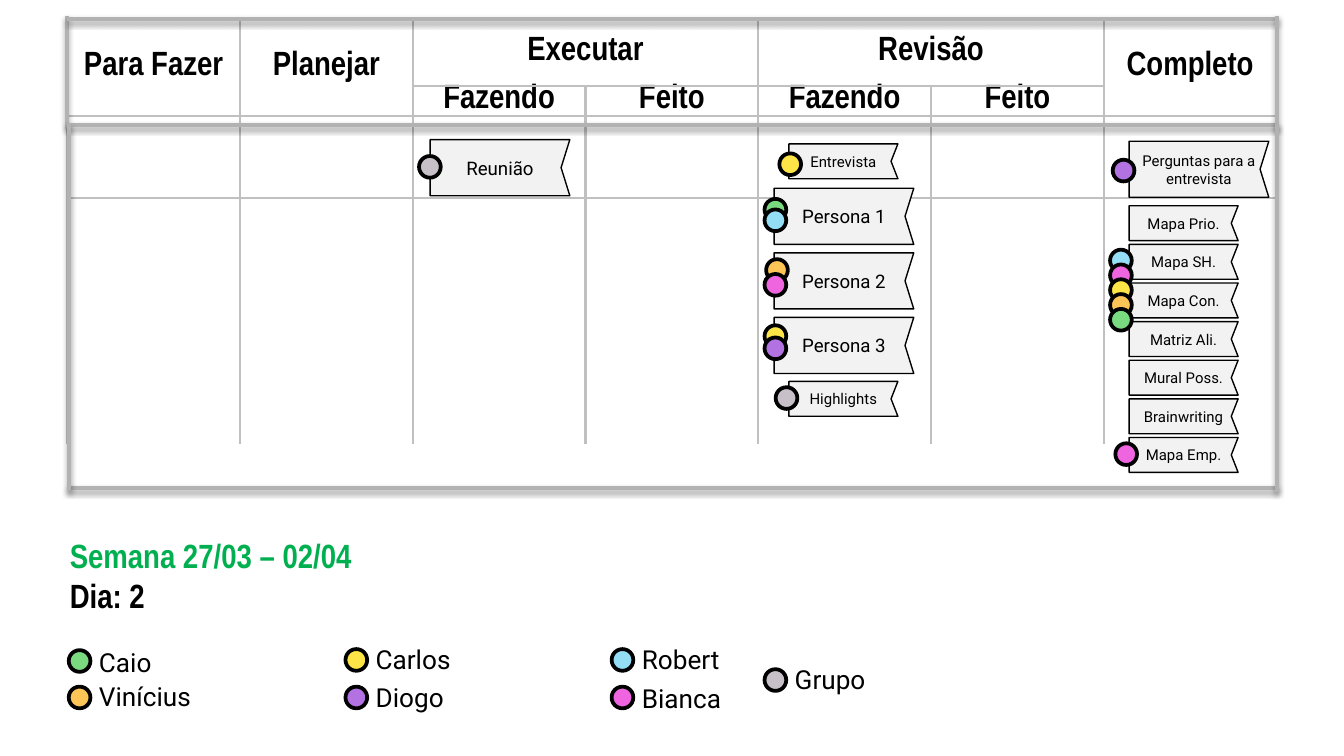
from lxml import etree
from pptx import Presentation
from pptx import util as u
from pptx.dml.color import RGBColor
from pptx.enum import shapes, text
from pptx.oxml import parse_xml
from pptx.oxml.ns import nsdecls, qn

Cm, Pt = u.Cm, u.Pt

COLORS = {
    "black": "000000", "white": "FFFFFF", "card": "F2F2F2",
    "grid": "C0C0C0", "frame": "B2B2B2", "title": "00B050",
    "Caio": "79DA80", "Vinícius": "FDC456", "Carlos": "FDE548",
    "Diogo": "B272E2", "Robert": "93DEF5", "Bianca": "EF65DF",
    "Grupo": "C7C0C8",
}
DOT = 0.41
SMALL, BIG = (2.06, 0.66), (2.64, 1.06)
NO_STYLE = "{2D5ABB26-0587-4C30-8999-92F81FD0307C}"

HEADERS = [
    (0, 0, 1, 0, "Para Fazer"), (0, 1, 1, 1, "Planejar"),
    (0, 2, 0, 3, "Executar"), (0, 4, 0, 5, "Revisão"),
    (0, 6, 1, 6, "Completo"),
    (1, 2, 1, 2, "Fazendo"), (1, 3, 1, 3, "Feito"),
    (1, 4, 1, 4, "Fazendo"), (1, 5, 1, 5, "Feito"),
]
FRAME = [
    (1.27, 0.3, 1.27, 2.44), (1.27, 0.36, 24.13, 0.36),
    (1.27, 2.36, 24.13, 2.36), (24.13, 0.3, 24.13, 2.44),
    (1.27, 9.22, 24.13, 9.22), (24.13, 2.36, 24.13, 9.3),
    (1.3, 2.34, 1.3, 9.27),
]
CARDS = [
    ("Reunião", 8.13, 2.64, BIG, 10),
    ("Entrevista", 14.91, 2.72, SMALL, 8),
    ("Highlights", 14.91, 7.21, SMALL, 8),
    ("Perguntas para a entrevista", 21.34, 2.67, BIG, 8),
]
DONE = ["Mapa Prio.", "Mapa SH.", "Mapa Con.", "Matriz Ali.",
        "Mural Poss.", "Brainwriting", "Mapa Emp."]
MAP_TEAM = ["Robert", "Bianca", "Carlos", "Vinícius", "Caio"]
DOTS = [
    ("Grupo", 7.92, 2.95), ("Carlos", 14.73, 2.9),
    ("Caio", 14.45, 3.76), ("Robert", 14.45, 3.96),
    ("Vinícius", 14.48, 4.9), ("Bianca", 14.45, 5.18),
    ("Carlos", 14.45, 6.15), ("Diogo", 14.45, 6.38),
    ("Grupo", 14.66, 7.32), ("Diogo", 21.03, 3.02),
    ("Bianca", 21.08, 8.38),
]
LEGEND = [
    ("Caio", 1.3, 12.29, 12.09), ("Vinícius", 1.3, 12.98, 12.73),
    ("Carlos", 6.53, 12.27, 12.04), ("Diogo", 6.53, 12.98, 12.75),
    ("Robert", 11.56, 12.27, 12.04), ("Bianca", 11.56, 12.98, 12.78),
    ("Grupo", 14.45, 12.65, 12.42),
]


def rgb(name):
    return RGBColor.from_string(COLORS[name])


def write(p, content, size=14, font="Roboto", color="black", bold=False,
          align=text.PP_ALIGN.LEFT, spacing=None):
    p.alignment = align
    if spacing:
        p.line_spacing = spacing
    r = p.add_run()
    r.text = content
    r.font.size, r.font.name, r.font.bold = Pt(size), font, bold
    r.font.color.rgb = rgb(color)


def paint(sp, fill, width):
    sp.shadow.inherit = False
    sp.fill.solid()
    sp.fill.fore_color.rgb = rgb(fill)
    sp.line.color.rgb = rgb("black")
    sp.line.width = Pt(width)


def add_borders(cell, sides):
    for side in sides:
        cell._tc.get_or_add_tcPr().append(parse_xml(
            f'<a:ln{side} {nsdecls("a")} w="19050"><a:solidFill>'
            f'<a:srgbClr val="{COLORS["grid"]}"/></a:solidFill></a:ln{side}>'))


def add_board(s):
    frame = s.shapes.add_table(6, 7, Cm(1.27), Cm(0.36), Cm(22.86), Cm(8.03))
    table = frame.table
    table.first_row = table.horz_banding = False
    table._tbl.tblPr.find(qn("a:tableStyleId")).text = NO_STYLE
    for row, height in zip(table.rows, [1.27, 0.56] + [1.55] * 4):
        row.height = Cm(height)
    for top, left, bottom, right, label in HEADERS:
        cell = table.cell(top, left)
        if (top, left) != (bottom, right):
            cell.merge(table.cell(bottom, right))
        cell.vertical_anchor = text.MSO_ANCHOR.MIDDLE
        cell.margin_left = cell.margin_right = 0
        cell.margin_top = cell.margin_bottom = 0
        write(cell.text_frame.paragraphs[0], label, size=18, bold=True,
              font="Arial Narrow", align=text.PP_ALIGN.CENTER, spacing=0.8)
    for i in range(6):
        for j in range(7):
            cell = table.cell(i, j)
            if cell.is_spanned:
                continue
            add_borders(cell, "LRTB" if i < 2 else "LRT" if i == 2 else "LR")
            cell.fill.solid()
            cell.fill.fore_color.rgb = rgb("white")


def add_card(s, label, x, y, size, points):
    w, h = size
    notch = w / 16
    fb = s.shapes.build_freeform(Cm(x), Cm(y))
    fb.add_line_segments([(Cm(x), Cm(y + h)), (Cm(x + w), Cm(y + h)),
                          (Cm(x + w - notch), Cm(y + h / 2)),
                          (Cm(x + w), Cm(y))], close=True)
    sp = fb.convert_to_shape()
    paint(sp, "card", 0.75)
    tf = sp.text_frame
    tf.word_wrap = True
    tf.vertical_anchor = text.MSO_ANCHOR.MIDDLE
    tf.margin_left = tf.margin_right = Cm(0.25)
    tf.margin_top = tf.margin_bottom = Cm(0.25)
    write(tf.paragraphs[0], label, size=points, align=text.PP_ALIGN.CENTER)


def add_dot(s, person, x, y):
    sp = s.shapes.add_shape(shapes.MSO_SHAPE.OVAL,
                            Cm(x), Cm(y), Cm(DOT), Cm(DOT))
    paint(sp, person, 2)


def add_frame_line(s, x1, y1, x2, y2):
    line = s.shapes.add_connector(shapes.MSO_CONNECTOR.STRAIGHT,
                                  Cm(x1), Cm(y1), Cm(x2), Cm(y2))
    line.line.color.rgb = rgb("frame")
    line.line.width = Pt(2)
    effects = etree.SubElement(line._element.spPr, qn("a:effectLst"))
    shadow = etree.SubElement(effects, qn("a:outerShdw"), blurRad="39370",
                              dist="20320", dir="5400000", rotWithShape="0")
    color = etree.SubElement(shadow, qn("a:srgbClr"), val=COLORS["black"])
    etree.SubElement(color, qn("a:alpha"), val="38000")


def add_text(s, x, y, w, h):
    tf = s.shapes.add_textbox(Cm(x), Cm(y), Cm(w), Cm(h)).text_frame
    tf.word_wrap = True
    return tf


def main():
    prs = Presentation()
    prs.slide_width, prs.slide_height = Cm(25.4), Cm(14.29)
    s = prs.slides.add_slide(prs.slide_layouts[6])

    add_board(s)
    for ends in FRAME:
        add_frame_line(s, *ends)

    for card in CARDS:
        add_card(s, *card)
    for i in range(3):
        add_card(s, f"Persona {i + 1}", 14.63, 3.56 + 1.22 * i, BIG, 10)
    for i, label in enumerate(DONE):
        add_card(s, label, 21.34, 3.89 + 0.73 * i, SMALL, 8)

    for dot in DOTS:
        add_dot(s, *dot)
    for i, person in enumerate(MAP_TEAM):
        add_dot(s, person, 20.98, 4.72 + 0.28 * i)

    tf = add_text(s, 1.07, 9.98, 11.3, 1.8)
    heading = {"size": 18, "font": "Arial Narrow", "bold": True}
    write(tf.paragraphs[0], "Semana 27/03 – 02/04", color="title", **heading)
    write(tf.add_paragraph(), "Dia: 2", **heading)

    for person, x, dot_y, text_y in LEGEND:
        add_dot(s, person, x, dot_y)
        tf = add_text(s, x + 0.32, text_y, 4.04, 0.86)
        write(tf.paragraphs[0], person)

    prs.save("out.pptx")


if __name__ == "__main__":
    main()
